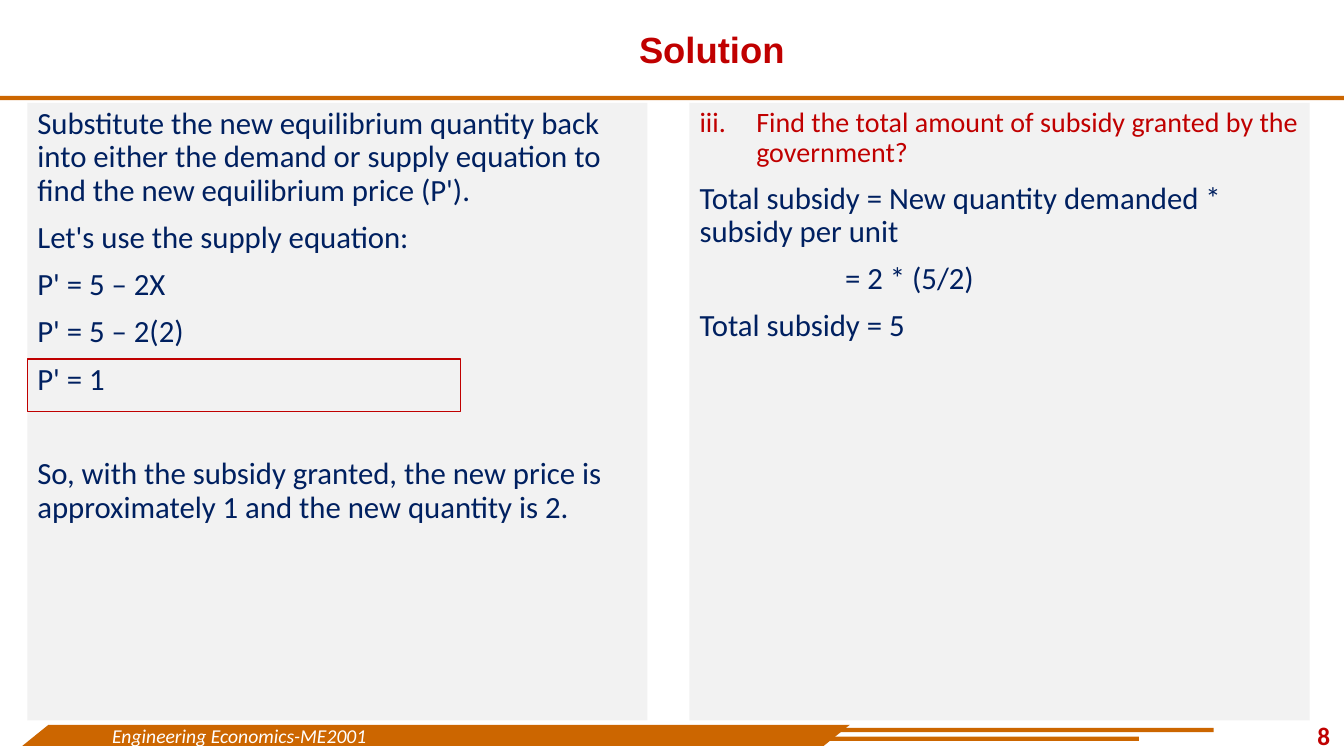
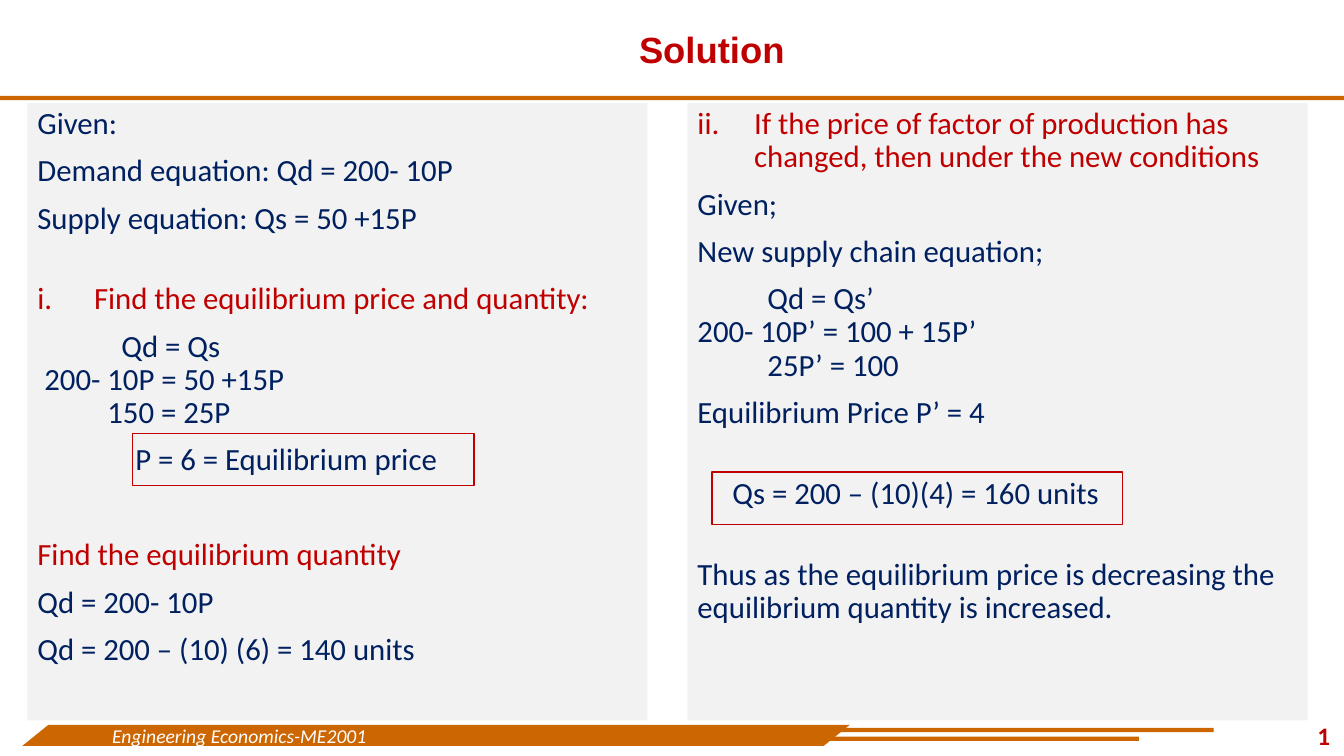
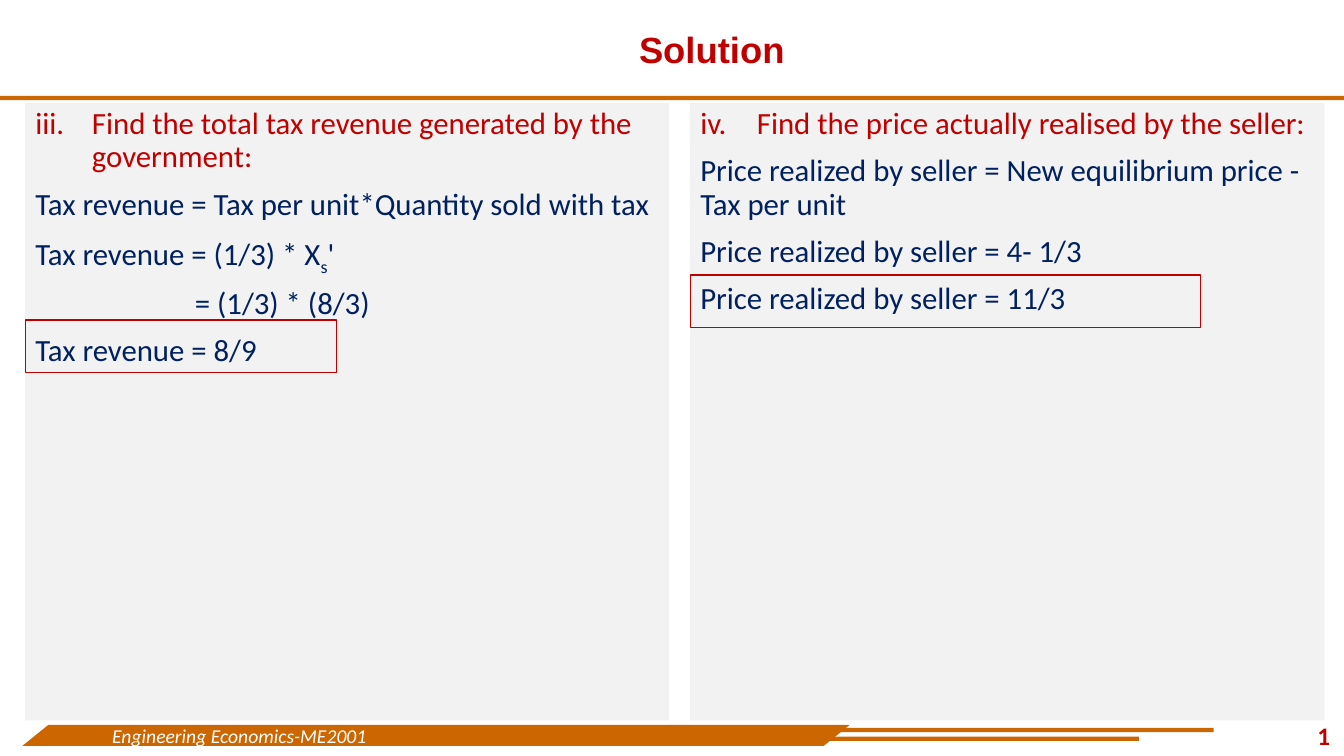
import pptx
import pptx.util
import pptx.dml.color
import pptx.enum.shapes
import pptx.enum.text
import lxml.etree
from pptx.oxml.ns import qn

Pt = pptx.util.Pt
SHAPE = pptx.enum.shapes.MSO_SHAPE
ALIGN = pptx.enum.text.PP_ALIGN
ANCHOR = pptx.enum.text.MSO_ANCHOR
AUTOSIZE = pptx.enum.text.MSO_AUTO_SIZE

COLORS = {"band": "CC6600", "accent": "C00000", "text": "002060", "panel": "F2F2F2", "light": "FFFFFF"}
TITLE = {"name": "Arial", "size": Pt(26), "bold": True}
BODY = {"name": "Calibri", "size": Pt(22)}
FOOTER = {"name": "Calibri", "size": Pt(14), "italic": True}
NUMBER = {"name": "Calibri", "size": Pt(18), "bold": True}

PANEL_TOP, PANEL_HEIGHT = 73.5, 441
ANSWER_HEIGHT = 37.5
HANGING = 40.5
GAP, BREAK_GAP, BLANK_GAP = 10, 34, 44

SLIDES = [
    {
        "number": "8",
        "panels": [
            (19.5, 443, [
                ("Substitute the new equilibrium quantity back into either the demand or supply equation "
                 "to find the new equilibrium price (P').", {}),
                ("Let's use the supply equation:", {}),
                ("P' = 5 – 2X", {}),
                ("P' = 5 – 2(2)", {}),
                ("P' = 1", {}),
                ("So, with the subsidy granted, the new price is approximately 1 and the new quantity is 2.",
                 {"before": BLANK_GAP}),
            ]),
            (492.5, 443, [
                ("Find the total amount of subsidy granted by the government?", {"start": 3, "size": 20}),
                ("Total subsidy = New quantity demanded * subsidy per unit", {}),
                ("= 2 * (5/2)", {"indent": 104}),
                ("Total subsidy = 5", {}),
            ]),
        ],
        "answers": [(19.5, 256.5, 309.5)],
    },
    {
        "number": "10",
        "panels": [
            (19.5, 443, [
                ("Given:", {}),
                ("Demand equation: Qd = 200- 10P", {}),
                ("Supply equation: Qs = 50 +15P", {}),
                ("Find the equilibrium price and quantity:", {"start": 1, "before": BREAK_GAP}),
                ("Qd = Qs", {"indent": 60}),
                ("200- 10P = 50 +15P", {"indent": 5, "before": 0}),
                ("150 = 25P", {"indent": 50, "before": 0}),
                ("P = 6 = Equilibrium price", {"indent": 70}),
                ("Find the equilibrium quantity", {"color": "accent", "before": BLANK_GAP}),
                ("Qd = 200- 10P", {}),
                ("Qd = 200 – (10) (6) = 140 units", {}),
            ]),
            (491, 443, [
                ("If the price of factor of production has changed, then under the new conditions", {"start": 2}),
                ("Given;", {}),
                ("New supply chain equation;", {}),
                ("Qd = Qs’", {"indent": 50}),
                ("200- 10P’ = 100 + 15P’", {"before": 0}),
                ("25P’ = 100", {"indent": 50, "before": 0}),
                ("Equilibrium Price P’ = 4", {}),
                ("Qs = 200 – (10)(4) = 160 units", {"indent": 25, "before": BREAK_GAP}),
                ("Thus as the equilibrium price is decreasing the equilibrium quantity is increased.",
                 {"before": BREAK_GAP}),
            ]),
        ],
        "answers": [(94.5, 309.5, 244), (508.5, 337, 293.5)],
    },
    {
        "number": "13",
        "panels": [
            (18, 460, [
                ("Find the total tax revenue generated by the government:", {"start": 3}),
                ("Tax revenue = Tax per unit*Quantity sold with tax", {}),
                ("Tax revenue = (1/3) * X|s|'", {}),
                ("= (1/3) * (8/3)", {"indent": 114}),
                ("Tax revenue = 8/9", {}),
            ]),
            (493, 453, [
                ("Find the price actually realised by the seller:", {"start": 4}),
                ("Price realized by seller = New equilibrium price - Tax per unit", {}),
                ("Price realized by seller = 4- 1/3", {}),
                ("Price realized by seller = 11/3", {}),
            ]),
        ],
        "answers": [(18, 228.5, 222.5), (493, 196.5, 364.5)],
    },
]


def put(obj, values):
    for name, value in values.items():
        setattr(obj, name, value)


def rgb(color):
    return pptx.dml.color.RGBColor.from_string(COLORS[color])


def place(sp, left, top, width, height):
    put(sp, {"left": Pt(left), "top": Pt(top), "width": Pt(width), "height": Pt(height)})


def fill(sp, color):
    sp.fill.solid()
    sp.fill.fore_color.rgb = rgb(color)


def add_run(p, text, style, color):
    r = p.add_run()
    r.text = text
    put(r.font, style)
    r.font.color.rgb = rgb(color)
    return r


def add_shape(s, kind, left, top, width, height):
    sp = s.shapes.add_shape(kind, Pt(left), Pt(top), Pt(width), Pt(height))
    sp.shadow.inherit = False
    return sp


def add_band(s, kind, *box):
    sp = add_shape(s, kind, *box)
    fill(sp, "band")
    sp.line.fill.background()
    return sp


def add_master_bands(prs, s):
    bands = [add_band(s, SHAPE.RECTANGLE, *box) for box in
             [(0, 68.5, 960, 3), (537, 520, 330, 3), (554.5, 526.25, 259, 3)]]
    footer = add_band(s, SHAPE.PARALLELOGRAM, 16, 517.75, 591, 15)
    footer.adjustments[0] = 1.24
    p = footer.text_frame.paragraphs[0]
    p.alignment = ALIGN.LEFT
    add_run(p, "Engineering Economics-ME2001", FOOTER, "light")
    tree = prs.slide_master.shapes.element
    for shape_id, sp in enumerate(bands + [footer], 20):
        sp.element.xpath("./p:nvSpPr/p:cNvPr")[0].set("id", str(shape_id))
        tree.append(sp.element)


def set_bullet(p, indent, start):
    pPr = p._p.get_or_add_pPr()
    pPr.set("marL", str(Pt(HANGING if start else indent)))
    pPr.set("indent", str(Pt(-HANGING if start else 0)))
    if start:
        bullet = lxml.etree.SubElement(pPr, qn("a:buAutoNum"))
        bullet.set("type", "romanLcPeriod")
        bullet.set("startAt", str(start))
    else:
        lxml.etree.SubElement(pPr, qn("a:buNone"))


def add_line(p, text, before=GAP, indent=0, start=None, size=22, color="text"):
    set_bullet(p, indent, start)
    put(p, {"line_spacing": 0.9, "space_before": Pt(before), "alignment": ALIGN.LEFT})
    for i, part in enumerate(text.split("|")):
        r = add_run(p, part, {**BODY, "size": Pt(size)}, "accent" if start else color)
        if i % 2:
            r._r.get_or_add_rPr().set("baseline", "-25000")


def fill_title(sp, text):
    place(sp, 94.5, 9.5, 828, 54.5)
    tf = sp.text_frame
    put(tf, {"vertical_anchor": ANCHOR.MIDDLE, "auto_size": AUTOSIZE.NONE})
    p = tf.paragraphs[0]
    put(p, {"alignment": ALIGN.CENTER, "line_spacing": 0.9})
    add_run(p, text, TITLE, "accent")


def fill_panel(sp, left, width, lines):
    place(sp, left, PANEL_TOP, width, PANEL_HEIGHT)
    fill(sp, "panel")
    tf = sp.text_frame
    put(tf, {"vertical_anchor": ANCHOR.TOP, "auto_size": AUTOSIZE.NONE, "word_wrap": True})
    for i, (text, options) in enumerate(lines):
        p = tf.add_paragraph() if i else tf.paragraphs[0]
        add_line(p, text, **(options if i else {**options, "before": 0}))


def add_answer_box(s, left, top, width):
    sp = add_shape(s, SHAPE.RECTANGLE, left, top, width, ANSWER_HEIGHT)
    sp.fill.background()
    sp.line.color.rgb = rgb("accent")
    sp.line.width = Pt(1)


def add_number(s, number):
    tf = s.shapes.add_textbox(Pt(934), Pt(511), Pt(24), Pt(29)).text_frame
    tf.word_wrap = True
    add_run(tf.paragraphs[0], number, NUMBER, "accent")


def main():
    prs = pptx.Presentation()
    put(prs, {"slide_width": Pt(960), "slide_height": Pt(540)})
    layout = prs.slide_layouts.get_by_name("Two Content")
    for i, content in enumerate(SLIDES):
        s = prs.slides.add_slide(layout)
        if i == 0:
            add_master_bands(prs, s)
        title, *panels = s.placeholders
        fill_title(title, "Solution")
        for sp, panel in zip(panels, content["panels"]):
            fill_panel(sp, *panel)
        for answer in content["answers"]:
            add_answer_box(s, *answer)
        add_number(s, content["number"])
    prs.save("out.pptx")


if __name__ == "__main__":
    main()
